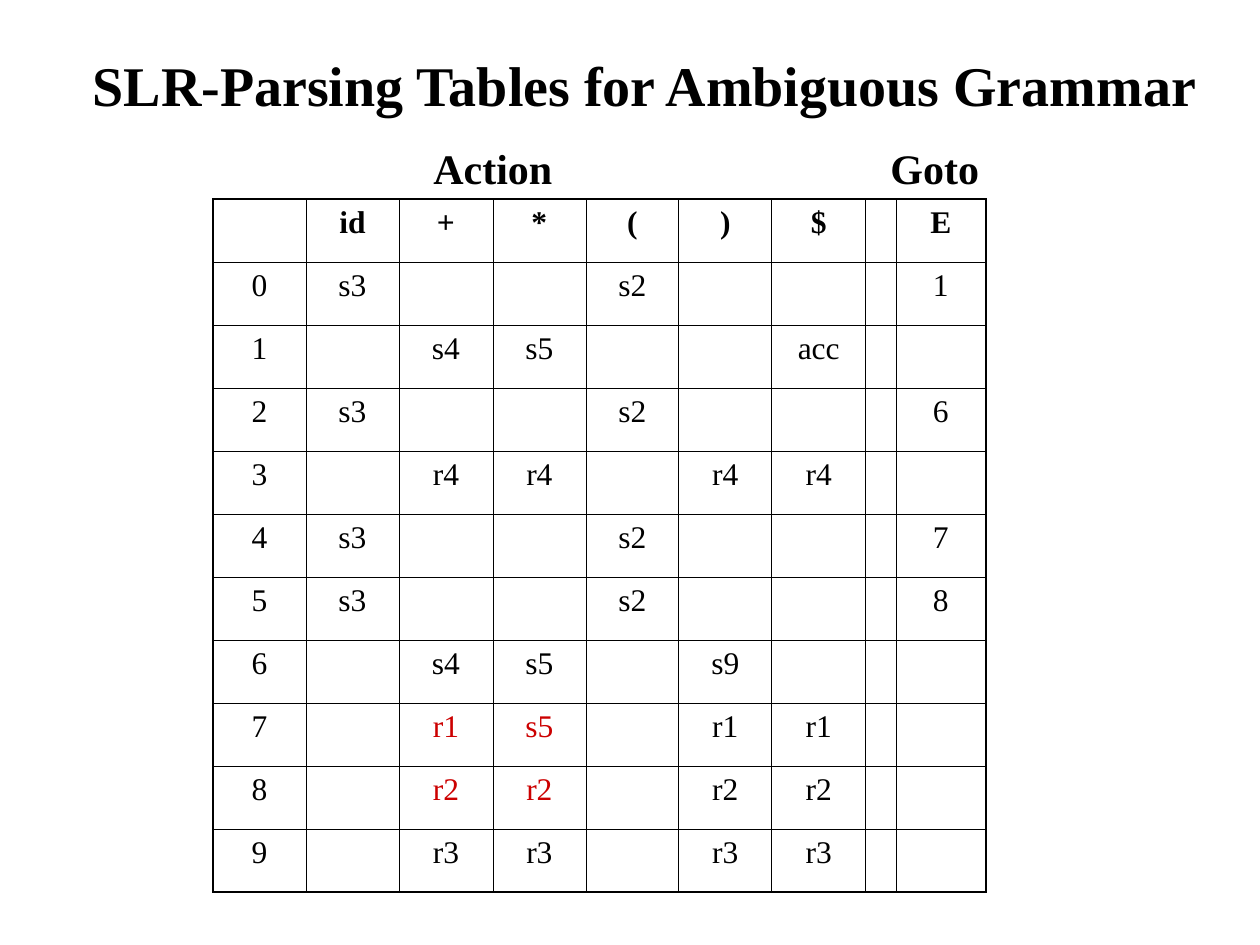
from dataclasses import dataclass, field

from lxml import etree
from pptx import Presentation
from pptx import util as u
from pptx.dml import color
from pptx.enum import text
from pptx.oxml import ns

EMU_PER_PX = 914400 / 126


@dataclass(frozen=True)
class Theme:
    font: str = "Times New Roman"
    ink: str = "000000"
    conflict: str = "CC0000"
    paper: str = "FFFFFF"
    title_size: int = 32
    label_size: int = 24
    cell_size: int = 18
    inner_line: float = 0.45
    outer_line: float = 1.08


@dataclass(frozen=True)
class Label:
    words: str
    left: int
    top: int
    width: int
    height: int
    size: int
    wrap: bool = False
    align: text.PP_ALIGN = text.PP_ALIGN.LEFT
    anchor: text.MSO_ANCHOR = text.MSO_ANCHOR.TOP


@dataclass(frozen=True)
class State:
    actions: dict[str, str]
    goto: str = ""
    conflicts: set[str] = field(default_factory=set)


THEME = Theme()
LABELS = [
    Label("SLR-Parsing Tables for Ambiguous Grammar", 49, 21, 1192, 126,
          THEME.title_size, True, text.PP_ALIGN.CENTER, text.MSO_ANCHOR.MIDDLE),
    Label("Action", 421, 136, 146, 63, THEME.label_size),
    Label("Goto", 878, 136, 117, 63, THEME.label_size),
]

TERMINALS = ["id", "+", "*", "(", ")", "$"]
SHIFT_OPERAND = {"id": "s3", "(": "s2"}
SHIFT_OPERATOR = {"+": "s4", "*": "s5"}


def reduce_by(rule: str) -> dict[str, str]:
    return {terminal: rule for terminal in "+*)$"}


STATES = [
    State(SHIFT_OPERAND, "1"),
    State(SHIFT_OPERATOR | {"$": "acc"}),
    State(SHIFT_OPERAND, "6"),
    State(reduce_by("r4")),
    State(SHIFT_OPERAND, "7"),
    State(SHIFT_OPERAND, "8"),
    State(SHIFT_OPERATOR | {")": "s9"}),
    State(reduce_by("r1") | {"*": "s5"}, conflicts={"+", "*"}),
    State(reduce_by("r2"), conflicts={"+", "*"}),
    State(reduce_by("r3")),
]

TABLE_LEFT, TABLE_TOP = 213, 199
COLUMN_WIDTHS = [93, 93, 94, 93, 93, 93, 94, 30, 90]
ROW_HEIGHT = 63


def px(length: int) -> u.Emu:
    return u.Emu(round(length * EMU_PER_PX))


def add_span(para, words: str, size: int, bold: bool, ink: str) -> None:
    span = para.add_run()
    span.text = words
    span.font.name = THEME.font
    span.font.size = u.Pt(size)
    span.font.bold = bold
    span.font.color.rgb = color.RGBColor.from_string(ink)


def draw_label(page, label: Label) -> None:
    box = page.shapes.add_textbox(
        px(label.left), px(label.top), px(label.width), px(label.height))
    frame = box.text_frame
    frame.word_wrap = label.wrap
    frame.vertical_anchor = label.anchor
    para = frame.paragraphs[0]
    para.alignment = label.align
    add_span(para, label.words, label.size, True, THEME.ink)


def set_borders(cell, outer_sides: set[str]) -> None:
    properties = cell._tc.get_or_add_tcPr()
    for position, side in enumerate("LRTB"):
        points = THEME.outer_line if side in outer_sides else THEME.inner_line
        line = etree.Element(ns.qn(f"a:ln{side}"), w=str(u.Pt(points)))
        fill = etree.SubElement(line, ns.qn("a:solidFill"))
        etree.SubElement(fill, ns.qn("a:srgbClr"), val=THEME.ink)
        properties.insert(position, line)


def draw_cell(cell, words: str, bold: bool, ink: str, outer_sides: set[str]) -> None:
    cell.fill.background()
    set_borders(cell, outer_sides)
    para = cell.text_frame.paragraphs[0]
    para.alignment = text.PP_ALIGN.CENTER
    if words:
        add_span(para, words, THEME.cell_size, bold, ink)


def draw_parsing_table(page, states: list[State]) -> None:
    headings = ["", *TERMINALS, "", "E"]
    rows = [headings] + [
        [str(number), *(state.actions.get(t, "") for t in TERMINALS), "", state.goto]
        for number, state in enumerate(states)
    ]
    table = page.shapes.add_table(
        len(rows), len(headings), px(TABLE_LEFT), px(TABLE_TOP),
        px(sum(COLUMN_WIDTHS)), px(ROW_HEIGHT * len(rows))).table
    table.first_row = False
    table.horz_banding = False
    for column, width in zip(table.columns, COLUMN_WIDTHS):
        column.width = px(width)
    last_row, last_column = len(rows) - 1, len(headings) - 1
    for r, row in enumerate(rows):
        table.rows[r].height = px(ROW_HEIGHT)
        conflicts = states[r - 1].conflicts if r else set()
        for c, words in enumerate(row):
            edges = {"L": c == 0, "R": c == last_column,
                     "T": r == 0, "B": r == last_row}
            outer_sides = {side for side, is_outer in edges.items() if is_outer}
            ink = THEME.conflict if headings[c] in conflicts else THEME.ink
            draw_cell(table.cell(r, c), words, r == 0, ink, outer_sides)


def main() -> None:
    deck = Presentation()
    deck.slide_width, deck.slide_height = px(1260), px(945)
    page = deck.slides.add_slide(deck.slide_layouts[6])
    page.background.fill.solid()
    page.background.fill.fore_color.rgb = color.RGBColor.from_string(THEME.paper)
    draw_parsing_table(page, STATES)
    for label in LABELS:
        draw_label(page, label)
    deck.save("out.pptx")


if __name__ == "__main__":
    main()
